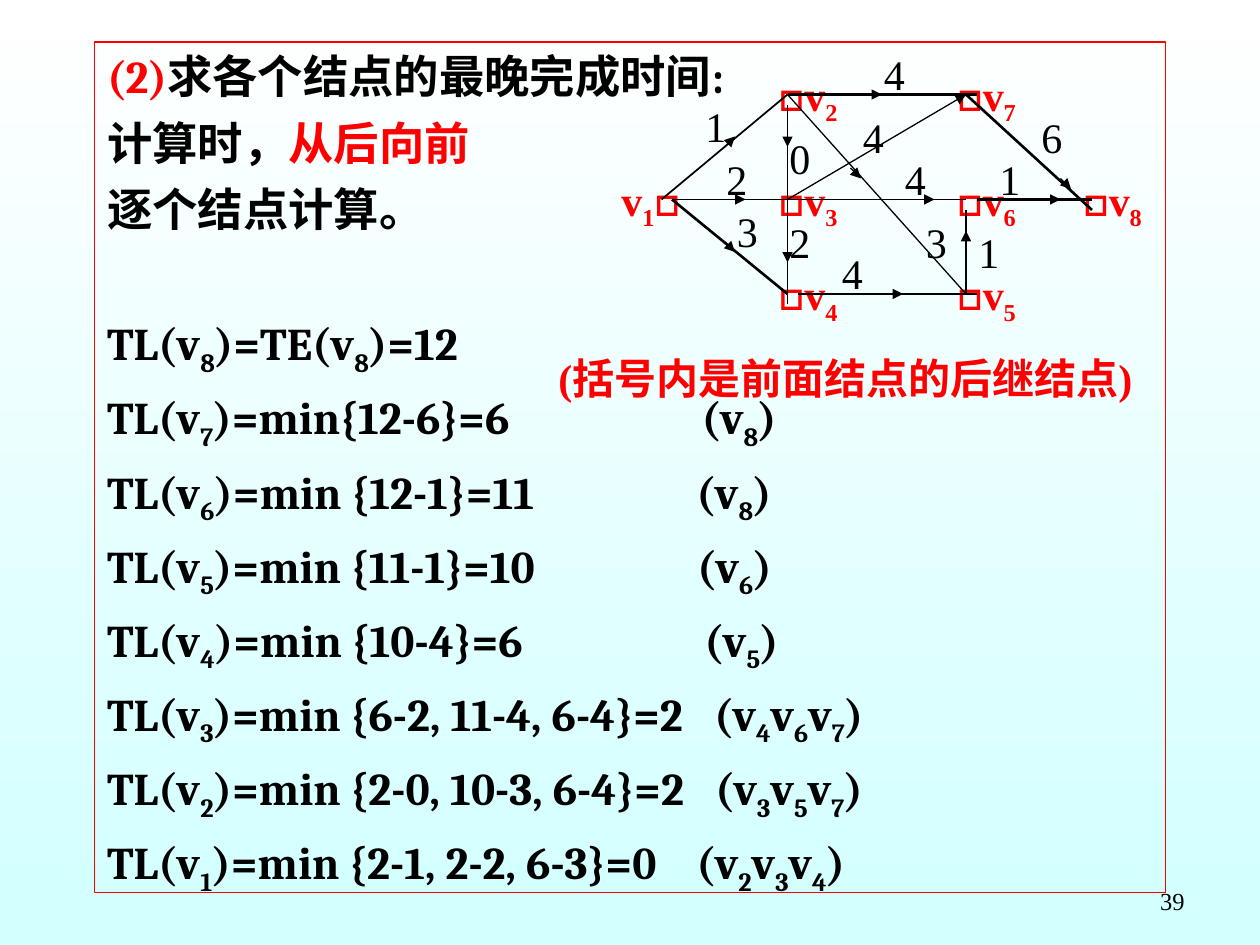
from lxml.etree import SubElement
from pptx import Presentation
from pptx.dml.color import RGBColor
from pptx.enum.shapes import MSO_CONNECTOR
from pptx.enum.text import MSO_ANCHOR as ANCHOR, MSO_AUTO_SIZE as AUTO, PP_ALIGN as ALIGN
from pptx.oxml.ns import qn
from pptx.util import Pt

PX = 7620
COLORS = {"black": "000000", "red": "FF0000", "top": "FFFFFF", "bottom": "D2FFFF"}
SERIF, BODY, BOX = "Times New Roman", "Cambria", "Calibri"

INTRO = [
    [("(2)", "red"), ("求各个结点的最晚完成时间:", "black")],
    [("计算时，", "black"), ("从后向前", "red")],
    [("逐个结点计算。", "black")],
]
STEPS = [
    ("TL(v_8)=TE(v_8)=12", "", 0),
    ("TL(v_7)=min{12-6}=6", "(v_8)", 104),
    ("TL(v_6)=min {12-1}=11", "(v_8)", 87),
    ("TL(v_5)=min {11-1}=10", "(v_6)", 87),
    ("TL(v_4)=min {10-4}=6", "(v_5)", 98),
    ("TL(v_3)=min {6-2, 11-4, 6-4}=2", "(v_4v_6v_7)", 12),
    ("TL(v_2)=min {2-0, 10-3, 6-4}=2", "(v_3v_5v_7)", 12),
    ("TL(v_1)=min {2-1, 2-2, 6-3}=0", "(v_2v_3v_4)", 17),
]
NODES = [
    ("v_1", 580, 160, 80), ("v_2", 730, 60, 90), ("v_3", 730, 160, 90),
    ("v_4", 730, 250, 90), ("v_5", 900, 250, 100), ("v_6", 900, 160, 100),
    ("v_7", 900, 60, 90), ("v_8", 1020, 160, 100),
]
WEIGHTS = [
    ("1", 660, 90), ("4", 830, 40), ("2", 680, 140), ("0", 740, 120), ("3", 870, 200),
    ("4", 810, 100), ("6", 980, 100), ("1", 940, 140), ("2", 740, 200), ("3", 690, 190),
    ("1", 920, 210), ("4", 790, 230), ("4", 850, 140),
]
EDGES = [
    (750, 100, 750, 190, 1), (630, 190, 750, 90, 1), (640, 190, 750, 280, 1.5),
    (750, 90, 930, 90, 1.5), (760, 280, 930, 280, 1.5), (920, 90, 1040, 200, 1.5),
    (930, 190, 1040, 190, 1.5), (640, 190, 750, 190, 0.75), (750, 190, 920, 190, 0.75),
    (750, 190, 750, 290, 0.75), (750, 90, 920, 280, 0.75), (920, 280, 920, 200, 0.75),
]
ARROWS = [
    (690, 140, 700, 130), (690, 230, 700, 240), (820, 90, 840, 90), (870, 190, 890, 190),
    (830, 280, 860, 280), (920, 240, 920, 220), (1010, 170, 1020, 180),
    (750, 190, 920, 90), (750, 120, 750, 140), (690, 190, 710, 190),
    (990, 190, 1010, 190), (810, 160, 820, 170), (750, 240, 750, 250),
]


def rgb(name):
    return RGBColor.from_string(COLORS[name])


def add_run(p, text, size, font, color, bold=True):
    r = p.add_run()
    r.text = text
    r.font.size, r.font.name, r.font.bold = Pt(size), font, bold
    r.font.color.rgb = rgb(color)
    return r


def add_marked(p, text, size, font, color):
    first, *rest = text.split("_")
    add_run(p, first, size, font, color)
    for piece in rest:
        r = add_run(p, piece[0], size, font, color)
        r.font._element.set("baseline", "-25000")
        if piece[1:]:
            add_run(p, piece[1:], size, font, color)


def add_box(x, y, w, h, wrap=True, anchor=ANCHOR.TOP, align=ALIGN.LEFT, fit=AUTO.SHAPE_TO_FIT_TEXT):
    tf = slide.shapes.add_textbox(x * PX, y * PX, w * PX, h * PX).text_frame
    tf.word_wrap, tf.vertical_anchor, tf.auto_size = wrap, anchor, fit
    p = tf.paragraphs[0]
    p.alignment = align
    return p


def add_line(x1, y1, x2, y2, width, arrow=False):
    ends = [v * PX for v in (x1, y1, x2, y2)]
    line = slide.shapes.add_connector(MSO_CONNECTOR.STRAIGHT, *ends)
    line.line.width = Pt(width)
    line.line.color.rgb = rgb("black")
    if arrow:
        SubElement(line.line._get_or_add_ln(), qn("a:tailEnd"), type="triangle")
    SubElement(line._element.spPr, qn("a:effectLst"))


def body_paragraph(tf, index, space):
    p = tf.paragraphs[0] if index == 0 else tf.add_paragraph()
    pPr = p._p.get_or_add_pPr()
    pPr.set("marL", "0")
    pPr.set("indent", "0")
    SubElement(pPr, qn("a:buNone"))
    p.space_before = Pt(space)
    return p


prs = Presentation()
prs.slide_width, prs.slide_height = 1200 * PX, 900 * PX
slide = prs.slides.add_slide(prs.slide_layouts[1])
title = slide.shapes.title._element
title.getparent().remove(title)

fill = slide.background.fill
fill.gradient()
fill.gradient_angle = 270
for stop, position, name in zip(fill.gradient_stops, (0, 1), ("top", "bottom")):
    stop.position, stop.color.rgb = position, rgb(name)

body = slide.placeholders[1]
body.left, body.top, body.width, body.height = (v * PX for v in (90, 40, 1020, 810))
body.line.color.rgb = rgb("red")
body.line.width = Pt(0.75)
tf = body.text_frame
tf.auto_size = AUTO.NONE
for i, parts in enumerate(INTRO):
    p = body_paragraph(tf, i, 7 if i else 0)
    for text, color in parts:
        add_run(p, text, 25.9, BODY, color)
for i, (formula, successors, gap) in enumerate(STEPS):
    p = body_paragraph(tf, len(INTRO) + i, 7 if i else 45.3)
    add_marked(p, formula, 25.9, BODY, "black")
    if successors:
        space = add_run(p, " ", 25.9, BODY, "black")
        space.font._element.set("spc", str(gap * 100))
        add_marked(p, successors, 25.9, BODY, "black")

for name, x, y, w in NODES:
    p = add_box(x, y, w, 67)
    if name == "v_1":
        add_marked(p, name, 24, SERIF, "red")
        add_run(p, "□", 24, BOX, "red")
    else:
        add_run(p, "□", 24, BOX, "red")
        add_marked(p, name, 24, SERIF, "red")
for edge in EDGES:
    add_line(*edge)
for arrow in ARROWS:
    add_line(*arrow, 0.75, True)
for text, x, y in WEIGHTS:
    p = add_box(x, y, 43, 60, False, ANCHOR.MIDDLE, ALIGN.CENTER)
    add_run(p, text, 24, SERIF, "black", False)

add_run(add_box(520, 330, 580, 108), "(括号内是前面结点的后继结点)", 24, SERIF, "red")
number = add_box(860, 834, 280, 48, True, ANCHOR.MIDDLE, ALIGN.RIGHT, AUTO.NONE)
add_run(number, "39", 14, SERIF, "black", False)

prs.save("out.pptx")
